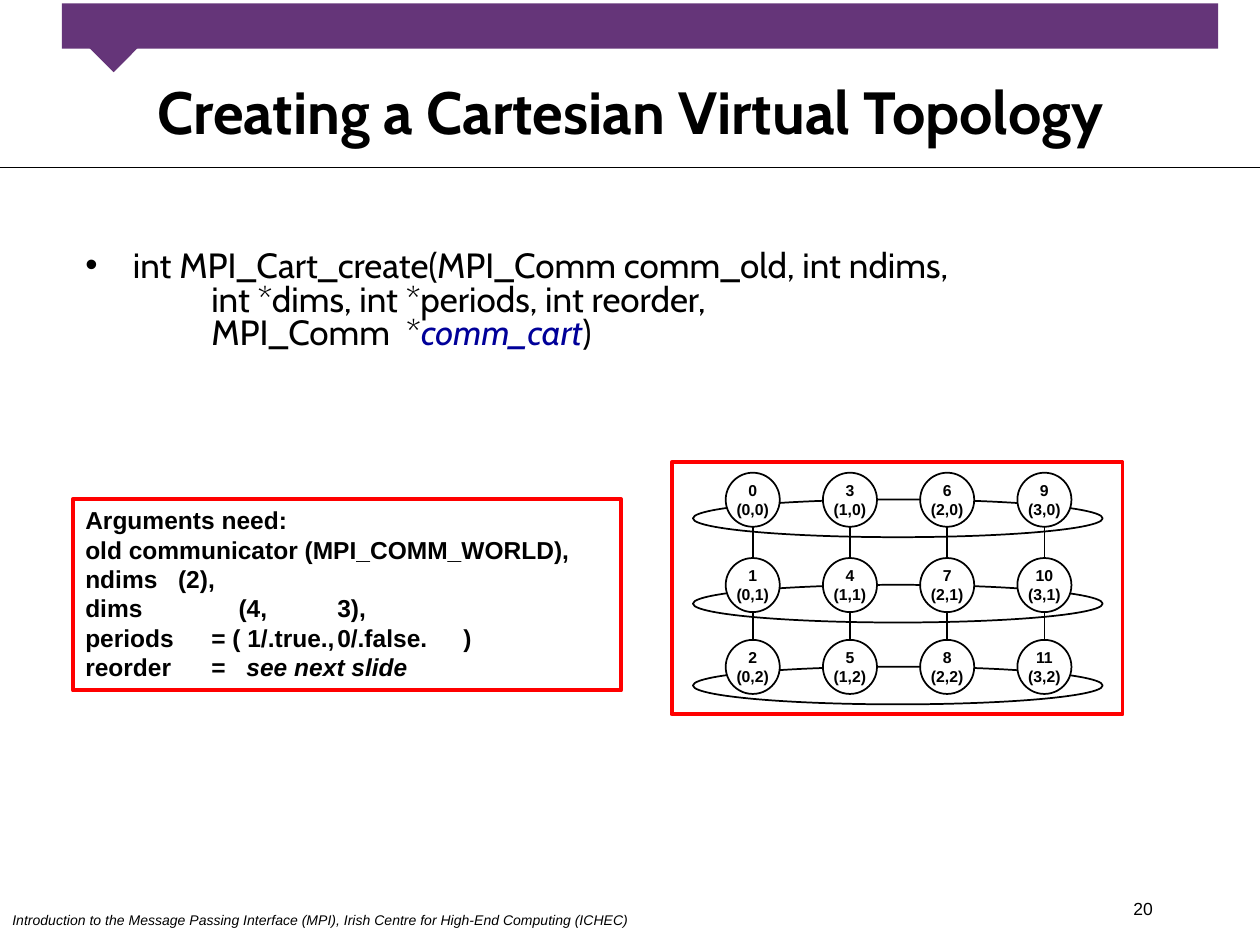
from dataclasses import dataclass

from lxml.etree import SubElement
from pptx import Presentation
from pptx.dml.color import RGBColor
from pptx.enum.shapes import MSO_CONNECTOR, MSO_SHAPE
from pptx.enum.text import MSO_ANCHOR, PP_ALIGN
from pptx.oxml.ns import qn
from pptx.util import Cm, Pt


@dataclass(frozen=True)
class Theme:
    """Colours, fonts and type sizes of the deck."""
    black: str = "000000"
    white: str = "FFFFFF"
    purple: str = "653579"
    red: str = "FF0000"
    navy: str = "000099"
    heading_font: str = "Cabin"
    text_font: str = "Arial"
    title_size: float = 34
    body_size: float = 20
    panel_size: float = 14
    number_size: float = 10
    node_size: float = 9
    footer_size: float = 8


class SlideBuilder:
    """Draws styled elements on the current slide."""

    def __init__(self, slide, theme):
        self.slide = slide
        self.theme = theme

    def shape(self, kind, left, top, width, height, fill=None, line=None, weight=1):
        shape = self.slide.shapes.add_shape(kind, Cm(left), Cm(top), Cm(width), Cm(height))
        shape.shadow.inherit = False
        if fill:
            shape.fill.solid()
            shape.fill.fore_color.rgb = RGBColor.from_string(fill)
        else:
            shape.fill.background()
        if line:
            shape.line.color.rgb = RGBColor.from_string(line)
            shape.line.width = Pt(weight)
        else:
            shape.line.fill.background()
        return shape

    def line(self, start_x, start_y, end_x, end_y, weight):
        connector = self.slide.shapes.add_connector(
            MSO_CONNECTOR.STRAIGHT, Cm(start_x), Cm(start_y), Cm(end_x), Cm(end_y))
        connector.line.color.rgb = RGBColor.from_string(self.theme.black)
        connector.line.width = Pt(weight)
        SubElement(connector._element.spPr, qn("a:effectLst"))

    def text_box(self, left, top, width, height):
        return self.slide.shapes.add_textbox(Cm(left), Cm(top), Cm(width), Cm(height))

    def set_text(self, shape, text, size, font=None, bold=None, italic=None,
                 align=PP_ALIGN.LEFT, anchor=MSO_ANCHOR.TOP):
        text_frame = shape.text_frame
        text_frame.word_wrap = True
        text_frame.vertical_anchor = anchor
        text_frame.text = text
        for paragraph in text_frame.paragraphs:
            paragraph.alignment = align
            for run in paragraph.runs:
                self.style(run, size, font, bold, italic)
        return text_frame

    def append_run(self, paragraph, text, size, font=None, bold=None, italic=None, color=None):
        run = paragraph.add_run()
        run.text = text
        self.style(run, size, font, bold, italic, color)

    def style(self, run, size, font=None, bold=None, italic=None, color=None):
        run.font.size = Pt(size)
        run.font.name = font or self.theme.text_font
        run.font.bold = bold
        run.font.italic = italic
        run.font.color.rgb = RGBColor.from_string(color or self.theme.black)

    def bullet(self, paragraph, indent):
        properties = paragraph._p.get_or_add_pPr()
        properties.set("marL", str(Cm(indent)))
        properties.set("indent", str(-Cm(indent)))
        SubElement(properties, qn("a:buFont"), typeface=self.theme.text_font)
        SubElement(properties, qn("a:buChar"), char="•")

    def tab_stops(self, paragraph, positions):
        tab_list = SubElement(paragraph._p.get_or_add_pPr(), qn("a:tabLst"))
        for position in positions:
            SubElement(tab_list, qn("a:tab"), pos=str(Cm(position)), algn="l")

    def node(self, left, top, diameter, label):
        circle = self.shape(MSO_SHAPE.OVAL, left, top, diameter, diameter,
                            self.theme.white, self.theme.black)
        text_frame = self.set_text(circle, label, self.theme.node_size, bold=True,
                                   align=PP_ALIGN.CENTER, anchor=MSO_ANCHOR.MIDDLE)
        text_frame.margin_left = text_frame.margin_right = 0
        text_frame.margin_top = text_frame.margin_bottom = 0


def add_frame(builder):
    """Draw the banner, title, footer and slide number."""
    theme = builder.theme
    builder.line(0, 3.38, 25.4, 3.38, 0.75)
    builder.shape(MSO_SHAPE.RECTANGLE, 1.25, 0.07, 23.31, 0.91, theme.purple)
    pointer = builder.shape(MSO_SHAPE.RECTANGLE, 1.96, 0.3, 0.81, 1.02, theme.purple)
    pointer.rotation = 45
    builder.set_text(
        builder.text_box(0, 18.26, 13.08, 0.61),
        "Introduction to the Message Passing Interface (MPI), "
        "Irish Centre for High-End Computing (ICHEC)", theme.footer_size, italic=True)
    builder.set_text(builder.text_box(18.21, 17.98, 5.28, 0.64), "20",
                     theme.number_size, align=PP_ALIGN.RIGHT)
    builder.set_text(builder.text_box(0.43, 1.17, 24.56, 2.11),
                     "Creating a Cartesian Virtual Topology", theme.title_size,
                     theme.heading_font, bold=True, align=PP_ALIGN.CENTER,
                     anchor=MSO_ANCHOR.MIDDLE)


def add_signature(builder):
    """Show the function signature as a bullet."""
    theme = builder.theme
    signature = ("int MPI_Cart_create(MPI_Comm comm_old, int ndims,\v"
                 "\t\tint *dims, int *periods, int reorder, \v"
                 "\t\tMPI_Comm  *")
    text_frame = builder.set_text(builder.text_box(1.47, 4.95, 22.48, 3.1), signature,
                                  theme.body_size, theme.heading_font)
    paragraph = text_frame.paragraphs[0]
    paragraph.line_spacing = 0.8
    builder.bullet(paragraph, 0.96)
    builder.append_run(paragraph, "comm_cart", theme.body_size, theme.heading_font,
                       italic=True, color=theme.navy)
    builder.append_run(paragraph, ")", theme.body_size, theme.heading_font)


def add_topology(builder):
    """Draw the periodic grid of numbered processes."""
    theme = builder.theme
    diameter = 1.09
    columns = [14.63 + 1.96 * column for column in range(4)]
    rows = [9.53, 11.25, 12.9]
    for top in rows:
        builder.shape(MSO_SHAPE.OVAL, 13.97, top + 0.54, 8.26, 0.76, line=theme.black)
    for left in columns:
        center = left + diameter / 2
        builder.line(center, rows[0] + diameter, center, rows[-1], 1)
    for column, left in enumerate(columns):
        for row, top in enumerate(rows):
            rank = column * len(rows) + row
            builder.node(left, top, diameter, f"{rank}\n({column},{row})")


def add_arguments(builder):
    """List the call arguments in a red panel."""
    theme = builder.theme
    panel = builder.shape(MSO_SHAPE.RECTANGLE, 1.47, 10.06, 11.05, 3.86,
                          theme.white, theme.red, 2.25)
    arguments = [
        ("Arguments need:", []),
        ("old communicator (MPI_COMM_WORLD),", []),
        ("ndims\t(2),", [1.87]),
        ("dims\t(4,\t3),", [3.09, 5.08]),
        ("periods\t= ( 1/.true.,\t0/.false.\t)", [2.54, 5.08, 7.62]),
        ("reorder\t=\t", [2.54, 3.25]),
    ]
    text_frame = builder.set_text(panel, "\n".join(text for text, _ in arguments),
                                  theme.panel_size, bold=True)
    for paragraph, (_, stops) in zip(text_frame.paragraphs, arguments):
        if stops:
            builder.tab_stops(paragraph, stops)
    builder.append_run(text_frame.paragraphs[-1], "see next slide", theme.panel_size,
                       bold=True, italic=True)


def main():
    """Build and save the slide."""
    presentation = Presentation()
    presentation.slide_width = Cm(25.4)
    presentation.slide_height = Cm(19.05)
    slide = presentation.slides.add_slide(presentation.slide_layouts[6])
    builder = SlideBuilder(slide, Theme())
    add_frame(builder)
    add_signature(builder)
    add_topology(builder)
    add_arguments(builder)
    builder.shape(MSO_SHAPE.RECTANGLE, 13.54, 9.32, 9.09, 5.08,
                  line=builder.theme.red, weight=2.25)
    presentation.save("out.pptx")


if __name__ == "__main__":
    main()
